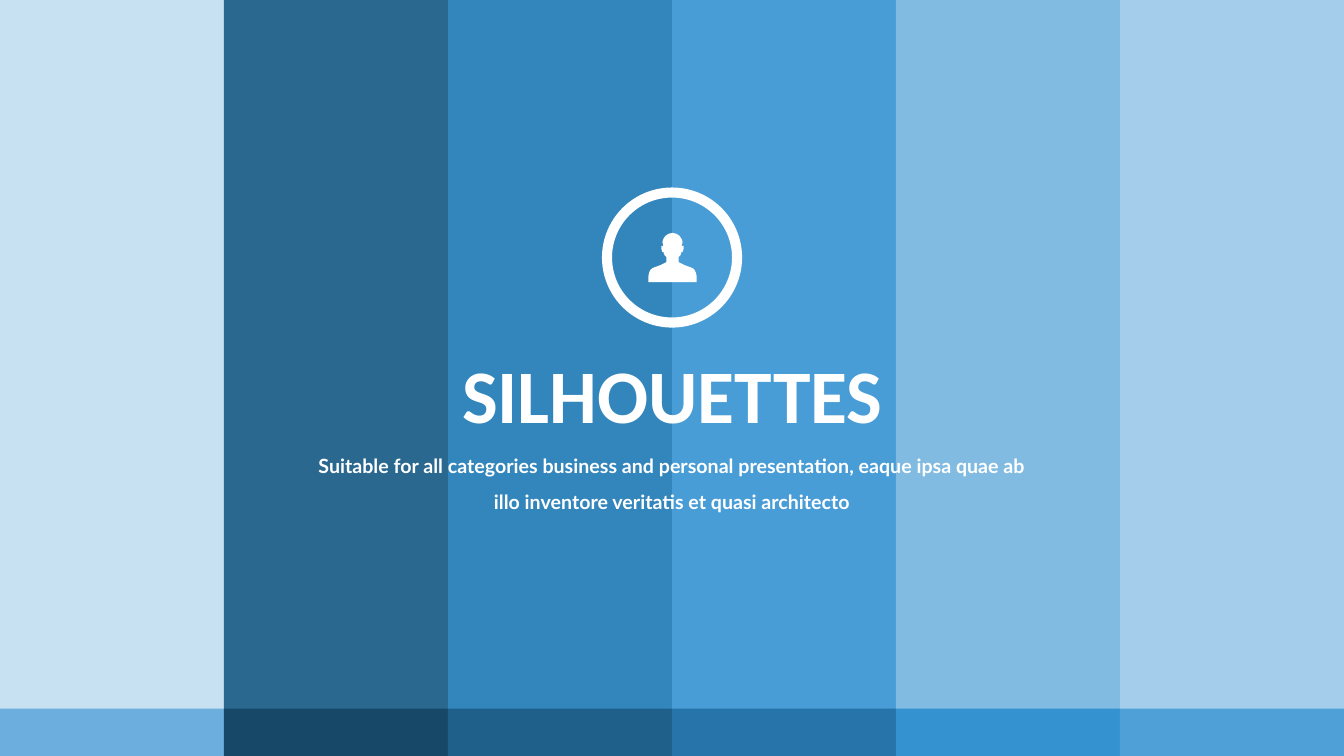
from pptx import Presentation
from pptx.dml.color import RGBColor
from pptx.enum.shapes import MSO_SHAPE as Shape
from pptx.enum.text import MSO_ANCHOR as Anchor, MSO_AUTO_SIZE as Fit, PP_ALIGN as Align
from pptx.oxml.ns import qn
from pptx.util import Inches, Pt
from lxml.etree import SubElement

WIDE, HIGH = 13.33, 7.5
BASE = 7.03
BANDS = ["C6E0F2", "1F608B", "2980B9", "4098D4", "7BB8E1", "9FCBE9"]
FEET = ["6CAFDE", "174868", "1F608B", "2674A9", "3492D1", "4FA0D7"]
BUST = [(0, 2.31), (0.04, 2.32), (0.07, 2.34), (0.09, 2.37), (0.1, 2.4),
        (0.09, 2.44), (0.11, 2.44), (0.11, 2.47), (0.1, 2.5), (0.09, 2.5),
        (0.08, 2.53), (0.06, 2.55), (0.06, 2.6), (0.08, 2.61), (0.12, 2.63),
        (0.2, 2.66), (0.22, 2.68), (0.23, 2.7), (0.24, 2.74), (0.24, 2.8)]


def color(text):
    return RGBColor.from_string(text)


def paint(shape, tint, alpha=100):
    shape.shadow.inherit = False
    shape.fill.solid()
    shape.fill.fore_color.rgb = color(tint)
    shape.line.fill.background()
    if alpha < 100:
        tone = shape.fill._xPr.find(qn("a:solidFill"))[0]
        SubElement(tone, qn("a:alpha"), val=str(alpha * 1000))


def stripes(shapes, tints, top, height, alpha=100):
    width = WIDE / len(tints)
    for i, tint in enumerate(tints):
        bar = shapes.add_shape(Shape.RECTANGLE, Inches(i * width), Inches(top),
                               Inches(width), Inches(height))
        paint(bar, tint, alpha)


def ring(shapes, left, top, size, band):
    disc = shapes.add_shape(Shape.DONUT, Inches(left), Inches(top),
                            Inches(size), Inches(size))
    disc.adjustments[0] = band / size
    paint(disc, "FFFFFF")


def bust(shapes, mid):
    right = [(Inches(mid + x), Inches(y)) for x, y in BUST]
    left = [(Inches(mid - x), Inches(y)) for x, y in reversed(BUST)]
    pen = shapes.build_freeform(*right[0], scale=1)
    pen.add_line_segments(right[1:] + left, close=True)
    paint(pen.convert_to_shape(), "FFFFFF")


def write(holder, text, box, face, size, wrap, gap):
    holder.left, holder.top, holder.width, holder.height = map(Inches, box)
    tree = holder.element.getparent()
    tree.append(holder.element)
    frame = holder.text_frame
    frame.text = text
    para = frame.paragraphs[0]
    looks = {
        frame: {"word_wrap": wrap, "auto_size": Fit.SHAPE_TO_FIT_TEXT,
                "vertical_anchor": Anchor.TOP},
        para: {"alignment": Align.CENTER, "line_spacing": gap,
               "space_before": Pt(0)},
        para.font: {"name": face, "size": Pt(size), "bold": True},
    }
    for item, look in looks.items():
        for key, value in look.items():
            setattr(item, key, value)
    para.font.color.rgb = color("FFFFFF")


def main():
    deck = Presentation()
    deck.slide_width, deck.slide_height = Inches(WIDE), Inches(HIGH)
    slide = deck.slides.add_slide(deck.slide_layouts[0])
    shapes = slide.shapes
    title, body = slide.placeholders
    stripes(shapes, BANDS, 0, HIGH, 95)
    stripes(shapes.add_group_shape().shapes, FEET, BASE, HIGH - BASE)
    write(title, "SILHOUETTES", (4.46, 3.4, 4.42, 1.01), "Calibri", 54, False, 1.0)
    write(body, "Suitable for all categories business and personal presentation, "
          "eaque ipsa quae ab illo inventore veritatis et quasi architecto",
          (2.92, 4.34, 7.49, 0.77), "Lato", 14, True, 1.5)
    ring(shapes, 5.97, 1.86, 1.39, 0.1)
    bust(shapes, 6.67)
    deck.save("out.pptx")


if __name__ == "__main__":
    main()
